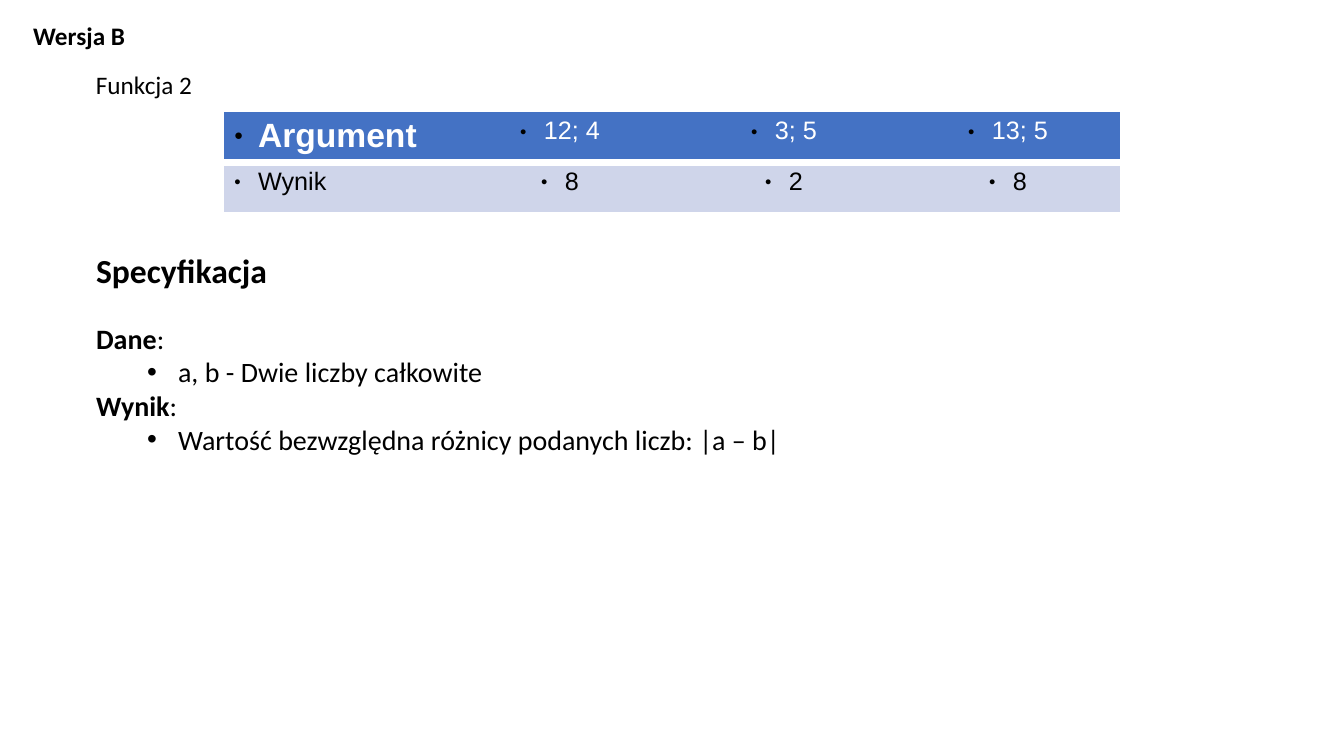
"""Build the worksheet slide with a function table and its specification."""
from dataclasses import dataclass

from lxml.etree import SubElement
from pptx import Presentation
from pptx.dml.color import RGBColor
from pptx.enum.text import MSO_ANCHOR, MSO_AUTO_SIZE, PP_ALIGN
from pptx.oxml.ns import qn
from pptx.util import Emu, Pt

EMU_PER_INCH = 914400
PX_PER_INCH = 100.8
NO_GRID_STYLE = "{2D5ABB26-0587-4C30-8999-92F81FD0307C}"


@dataclass(frozen=True)
class Theme:
    body_font: str = "Calibri"
    table_font: str = "Arial"
    black: str = "000000"
    white: str = "FFFFFF"
    header_fill: str = "4472C4"
    row_fill: str = "CFD5EA"
    heading: int = 24
    body: int = 20
    label: int = 18
    rule: int = 6


@dataclass(frozen=True)
class Line:
    label: str = ""
    text: str = ""
    size: int = 20
    bullet: bool = False
    before: int = 0


@dataclass(frozen=True)
class Row:
    values: tuple[str, ...]
    fill: str
    color: str
    label_size: int
    label_bold: bool


THEME = Theme()
SPECIFICATION = (
    Line(label="Specyfikacja", size=THEME.heading),
    Line(label="Dane", text=":", before=22),
    Line(text="a, b - Dwie liczby całkowite", bullet=True),
    Line(label="Wynik", text=":"),
    Line(text="Wartość bezwzględna różnicy podanych liczb: |a – b|", bullet=True),
)
ROWS = (
    Row(("Argument", "12; 4", "3; 5", "13; 5"),
        THEME.header_fill, THEME.white, THEME.heading, True),
    Row(("Wynik", "8", "2", "8"), THEME.row_fill, THEME.black, THEME.label, False),
)


def px(length: int) -> Emu:
    return Emu(round(length * EMU_PER_INCH / PX_PER_INCH))


def add_text(para, text: str, *, size: int, font: str = THEME.body_font,
             color: str = THEME.black, bold: bool = False) -> None:
    span = para.add_run()
    span.text = text
    span.font.size = Pt(size)
    span.font.name = font
    span.font.bold = bold
    span.font.color.rgb = RGBColor.from_string(color)


def set_bullet(para, char: str, indent: int, hanging: int, percent: int = 100) -> None:
    properties = para._p.get_or_add_pPr()
    properties.set("marL", str(px(indent)))
    properties.set("indent", str(-px(hanging)))
    color = SubElement(properties, qn("a:buClr"))
    SubElement(color, qn("a:srgbClr"), val=THEME.black)
    SubElement(properties, qn("a:buSzPct"), val=str(percent * 1000))
    SubElement(properties, qn("a:buFont"), typeface=THEME.table_font)
    SubElement(properties, qn("a:buChar"), char=char)


def clear_bullet(para) -> None:
    properties = para._p.get_or_add_pPr()
    properties.set("marL", "0")
    properties.set("indent", "0")
    SubElement(properties, qn("a:buNone"))


def place(box, left: int, top: int, width: int, height: int, wrap: bool = True):
    box.left, box.top, box.width, box.height = map(px, (left, top, width, height))
    frame = box.text_frame
    frame.word_wrap = wrap
    frame.auto_size = MSO_AUTO_SIZE.SHAPE_TO_FIT_TEXT
    frame.vertical_anchor = MSO_ANCHOR.TOP
    return frame


def draw_specification(frame) -> None:
    for index, line in enumerate(SPECIFICATION):
        para = frame.add_paragraph() if index else frame.paragraphs[0]
        if line.bullet:
            para.level = 1
            set_bullet(para, "•", 82, 31)
        else:
            clear_bullet(para)
        para.space_before = Pt(line.before)
        if line.label:
            add_text(para, line.label, size=line.size, bold=True)
        if line.text:
            add_text(para, line.text, size=line.size)


def add_bottom_rule(cell) -> None:
    properties = cell._tc.get_or_add_tcPr()
    rule = SubElement(properties, qn("a:lnB"), w=str(Pt(THEME.rule)))
    fill = SubElement(rule, qn("a:solidFill"))
    SubElement(fill, qn("a:srgbClr"), val=THEME.white)


def draw_table(page) -> None:
    frame = page.shapes.add_table(len(ROWS), len(ROWS[0].values),
                                  px(224), px(112), px(896), px(100))
    table = frame.table
    table.first_row = table.horz_banding = False
    table._tbl.tblPr.find(qn("a:tableStyleId")).text = NO_GRID_STYLE
    for row_index, row in enumerate(ROWS):
        for column, value in enumerate(row.values):
            cell = table.cell(row_index, column)
            if row_index == 0:
                add_bottom_rule(cell)
            cell.fill.solid()
            cell.fill.fore_color.rgb = RGBColor.from_string(row.fill)
            para = cell.text_frame.paragraphs[0]
            set_bullet(para, "●", 24, 24, 45)
            is_label = column == 0
            para.alignment = PP_ALIGN.LEFT if is_label else PP_ALIGN.CENTER
            add_text(para, value, font=THEME.table_font, color=row.color,
                     size=row.label_size if is_label else THEME.label,
                     bold=is_label and row.label_bold)


def main() -> None:
    deck = Presentation()
    deck.slide_width, deck.slide_height = px(1344), px(756)
    page = deck.slides.add_slide(deck.slide_layouts[1])

    title = place(page.shapes.title, 23, 15, 113, 40, wrap=False).paragraphs[0]
    title.alignment = PP_ALIGN.LEFT
    add_text(title, "Wersja B", size=THEME.label, bold=True)

    caption_box = page.shapes.add_textbox(0, 0, 0, 0)
    caption = place(caption_box, 86, 64, 178, 40).paragraphs[0]
    add_text(caption, "Funkcja 2", size=THEME.label)

    draw_table(page)
    draw_specification(place(page.placeholders[1], 86, 245, 1034, 217))
    deck.save("out.pptx")


if __name__ == "__main__":
    main()
